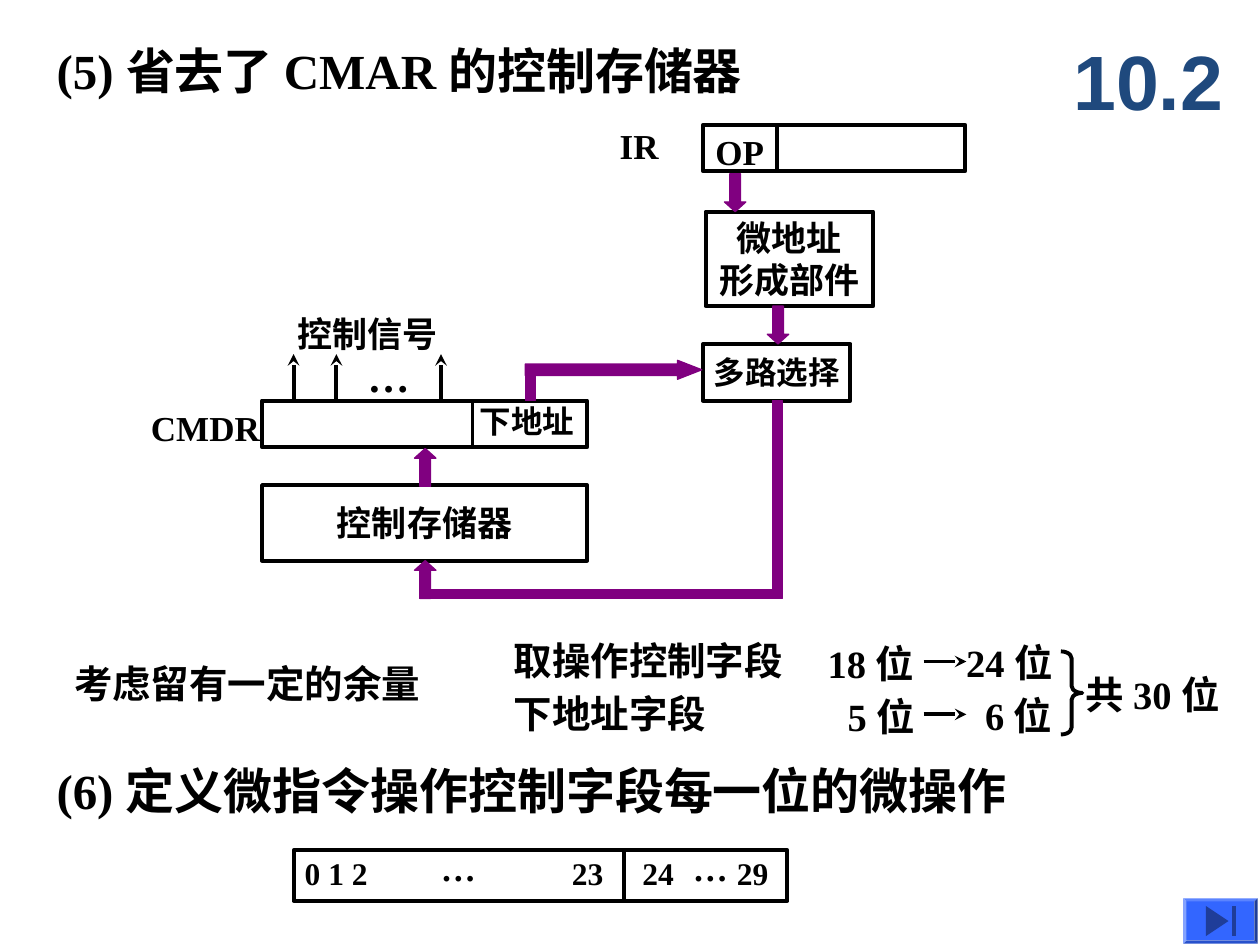
from lxml import etree
from pptx import Presentation
from pptx.dml.color import RGBColor
from pptx.enum.shapes import MSO_CONNECTOR, MSO_SHAPE as SHAPE
from pptx.enum.text import MSO_ANCHOR as ANCHOR, MSO_AUTO_SIZE as FIT, PP_ALIGN as ALIGN
from pptx.oxml.ns import qn
from pptx.util import Inches, Pt

BLACK = RGBColor(0x00, 0x00, 0x00)
PURPLE = RGBColor(0x80, 0x00, 0x80)
NAVY = RGBColor(0x1F, 0x49, 0x7D)
BUTTON = RGBColor(0x33, 0x66, 0xFF)
ICON = RGBColor(0x1F, 0x3D, 0x99)


class Diagram:
    """Draws the elements of one slide in a shared style."""
    font = "Times New Roman"
    line_width = Pt(2.25)

    def __init__(self, page):
        self.page = page
        self.shapes = page.shapes

    def fill_text(self, box, text, size, color=BLACK, font=None, align=ALIGN.LEFT, anchor=ANCHOR.TOP):
        frame = box.text_frame
        frame.text = text
        frame.word_wrap = False
        frame.auto_size = FIT.NONE
        frame.vertical_anchor = anchor
        for para in frame.paragraphs:
            para.alignment = align
            para.font.name = font or self.font
            para.font.size = Pt(size)
            para.font.bold = True
            para.font.color.rgb = color

    def title(self, text, x, y, w, h, size):
        box = self.shapes.title
        box.left, box.top, box.width, box.height = map(Inches, (x, y, w, h))
        self.fill_text(box, text, size)

    def label(self, text, x, y, w, h, size=20, **style):
        box = self.shapes.add_textbox(*map(Inches, (x, y, w, h)))
        self.fill_text(box, text, size, **style)

    def shape(self, kind, x, y, w, h, fill=None, adjust=()):
        shape = self.shapes.add_shape(kind, *map(Inches, (x, y, w, h)))
        shape.shadow.inherit = False
        for index, value in enumerate(adjust):
            shape.adjustments[index] = value
        if fill is None:
            shape.fill.background()
            shape.line.color.rgb = BLACK
            shape.line.width = self.line_width
        else:
            shape.fill.solid()
            shape.fill.fore_color.rgb = fill
            shape.line.color.rgb = fill
            shape.line.width = Pt(0.75)
        return shape

    def block(self, x, y, w, h, text="", size=20):
        box = self.shape(SHAPE.RECTANGLE, x, y, w, h)
        if text:
            self.fill_text(box, text, size, align=ALIGN.CENTER, anchor=ANCHOR.MIDDLE)

    def bus(self, kind, x, y, w, h, *adjust):
        self.shape(kind, x, y, w, h, PURPLE, adjust)

    def line(self, x1, y1, x2, y2, arrow=False):
        line = self.shapes.add_connector(MSO_CONNECTOR.STRAIGHT, *map(Inches, (x1, y1, x2, y2)))
        line.line.color.rgb = BLACK
        line.line.width = self.line_width
        properties = line.element.spPr
        if arrow:
            etree.SubElement(properties.find(qn("a:ln")), qn("a:tailEnd"), type="stealth")
        etree.SubElement(properties, qn("a:effectLst"))

    def polygon(self, points, fill):
        corners = [(Inches(x), Inches(y)) for x, y in points]
        builder = self.shapes.build_freeform(*corners[0])
        builder.add_line_segments(corners[1:], close=True)
        shape = builder.convert_to_shape()
        shape.shadow.inherit = False
        shape.fill.solid()
        shape.fill.fore_color.rgb = fill
        shape.line.fill.background()


def main():
    deck = Presentation()
    deck.slide_width, deck.slide_height = Inches(10), Inches(7.5)
    art = Diagram(deck.slides.add_slide(deck.slide_layouts[5]))

    # Headings and section number
    art.title("(5) 省去了 CMAR 的控制存储器", 0.35, 0.27, 6.65, 0.57, 28)
    art.label("(6) 定义微指令操作控制字段每一位的微操作", 0.35, 5.99, 8.48, 0.57, 28)
    art.label("10.2", 8.42, 0.17, 1.58, 0.92, 44, color=NAVY, font="Arial", anchor=ANCHOR.MIDDLE)

    # Instruction register and address selection
    art.label("IR", 4.82, 0.94, 0.51, 0.44)
    art.block(5.58, 0.99, 2.08, 0.37)
    art.line(6.17, 0.99, 6.17, 1.36)
    art.label("OP", 5.58, 0.99, 0.58, 0.44)
    art.block(5.6, 1.68, 1.33, 0.75, "微地址\n形成部件")
    art.block(5.58, 2.73, 1.17, 0.45, "多路选择", 18)

    # Control memory and its data register
    art.label("CMDR", 1.1, 3.18, 1.06, 0.44)
    art.block(2.08, 3.18, 2.58, 0.37)
    art.line(3.75, 3.18, 3.75, 3.56)
    art.label("下地址", 3.71, 3.14, 0.95, 0.4, 18)
    art.block(2.08, 3.85, 2.58, 0.6, "控制存储器")

    # Control signals
    art.label("控制信号", 2.26, 2.43, 1.31, 0.44)
    art.label("…", 2.82, 2.73, 0.53, 0.5, 24)
    for x in (2.33, 2.67, 3.5):
        art.line(x, 3.18, x, 2.81, arrow=True)

    # Address buses
    for y in (3.56, 4.45):
        art.bus(SHAPE.UP_ARROW, 3.29, y, 0.17, 0.3, 0.5, 0.45)
    for x, y in ((6.09, 2.43), (5.75, 1.38)):
        art.bus(SHAPE.DOWN_ARROW, x, y, 0.17, 0.3, 0.5, 0.45)
    art.bus(SHAPE.RIGHT_ARROW, 4.17, 2.86, 1.4, 0.15, 0.61, 1.28)
    for bar in ((3.33, 4.68, 2.83, 0.07), (6.13, 3.18, 0.08, 1.57), (4.17, 2.91, 0.08, 0.27)):
        art.bus(SHAPE.RECTANGLE, *bar)

    # Field widths with spare bits
    art.label("考虑留有一定的余量", 0.49, 5.19, 3.67, 0.47, 22)
    fields = (
        ("取操作控制字段", 2.33, "18 位", 6.47, "24 位", 7.57, 0.96),
        ("下地址字段", 1.72, "5 位", 6.63, "6 位", 7.72, 0.8),
    )
    for row, (name, name_w, used, used_x, kept, kept_x, bits_w) in enumerate(fields):
        y = 5.01 + 0.42 * row
        art.label(name, 3.98, y, name_w, 0.47, 22)
        art.label(used, used_x, y + 0.02, bits_w, 0.47, 22)
        art.line(7.33, y + 0.24, 7.67, y + 0.24, arrow=True)
        art.label(kept, kept_x, y + 0.01, bits_w, 0.47, 22)
    art.shape(SHAPE.RIGHT_BRACE, 8.42, 5.17, 0.17, 0.66, adjust=(0.32, 0.5))
    art.label("共 30 位", 8.52, 5.28, 1.4, 0.47, 22)

    # Microinstruction bit numbers
    art.block(2.33, 6.75, 3.92, 0.4)
    art.line(4.95, 6.75, 4.95, 7.17)
    for text, x, w in (("0 1 2", 2.32, 0.7), ("23", 4.44, 0.45), ("24", 5.0, 0.45), ("29", 5.75, 0.45)):
        art.label(text, x, 6.73, w, 0.4, 18)
    for x in (3.4, 5.4):
        art.label("…", x, 6.67, 0.48, 0.44)

    # Forward button
    button = art.shape(SHAPE.BEVEL, 9.39, 7.13, 0.59, 0.36, BUTTON, (0.07,))
    button.line.fill.background()
    art.polygon(((9.57, 7.19), (9.75, 7.31), (9.57, 7.43)), ICON)
    art.polygon(((9.78, 7.19), (9.81, 7.19), (9.81, 7.43), (9.78, 7.43)), ICON)

    deck.save("out.pptx")


if __name__ == "__main__":
    main()
